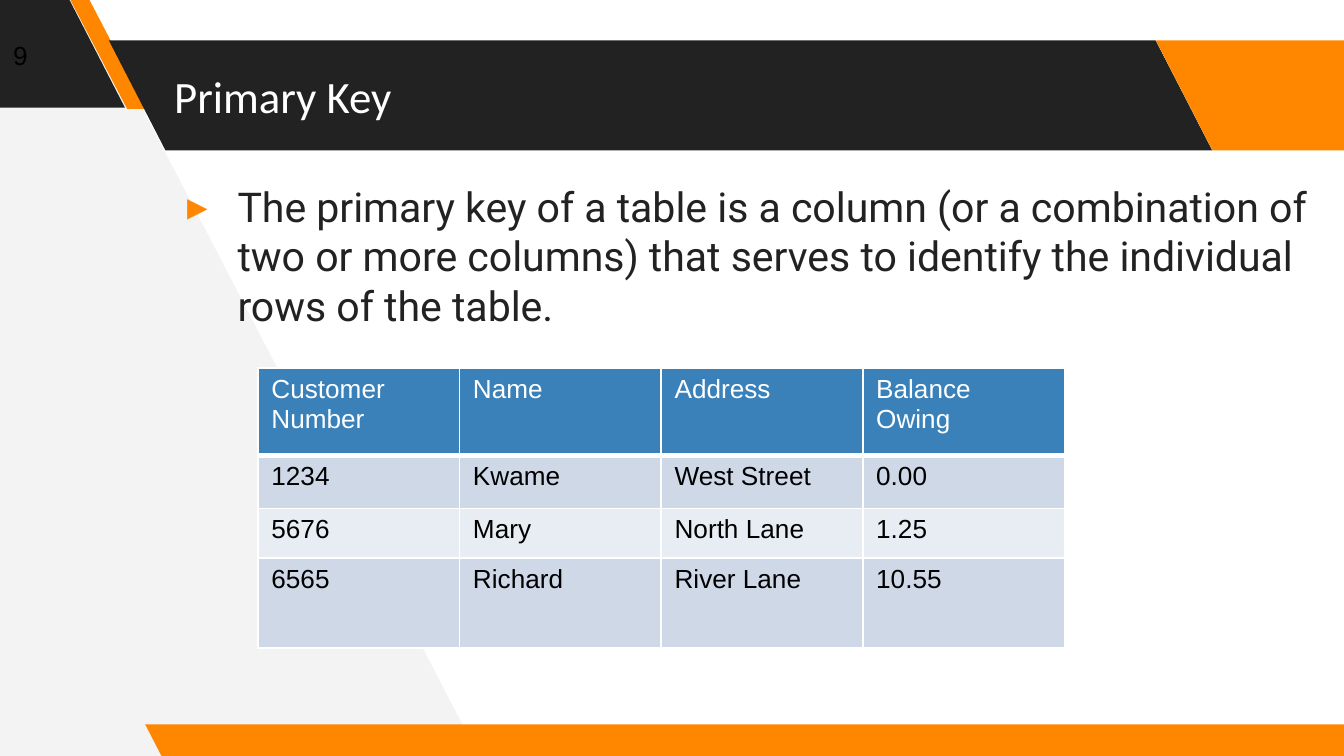
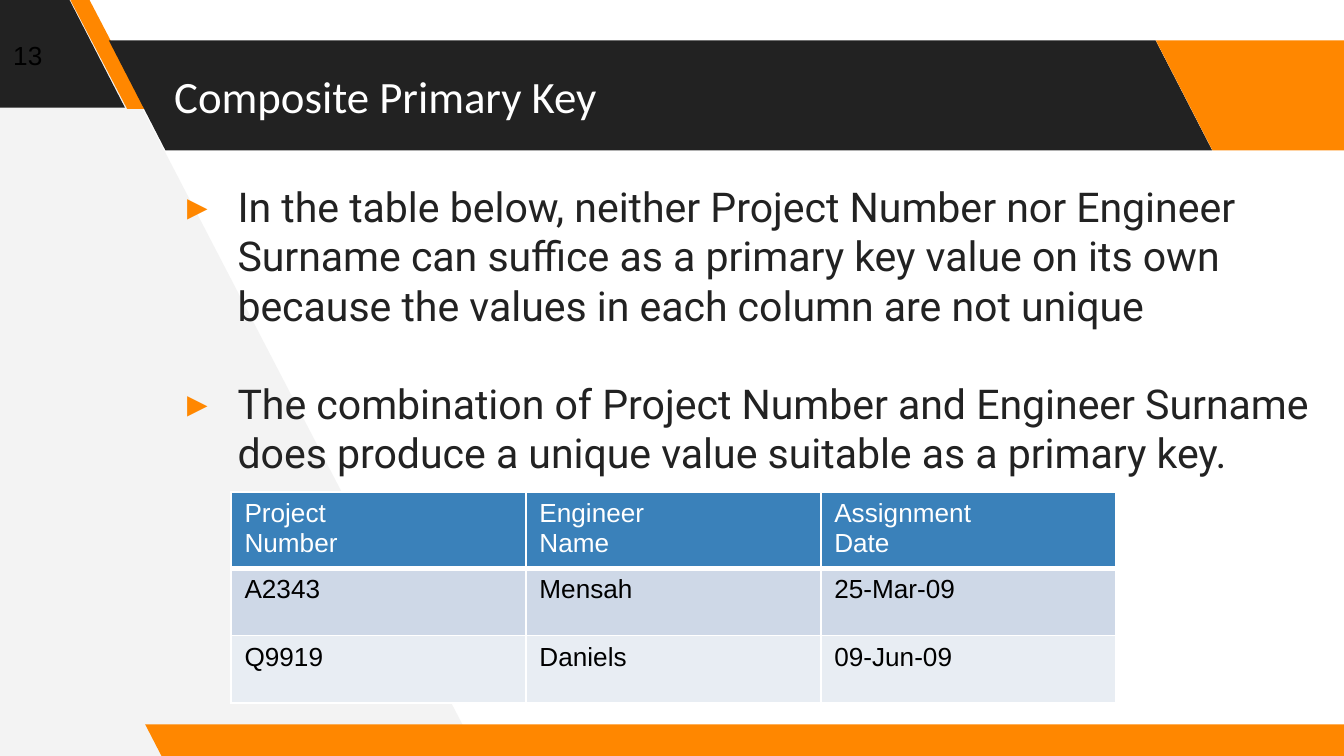
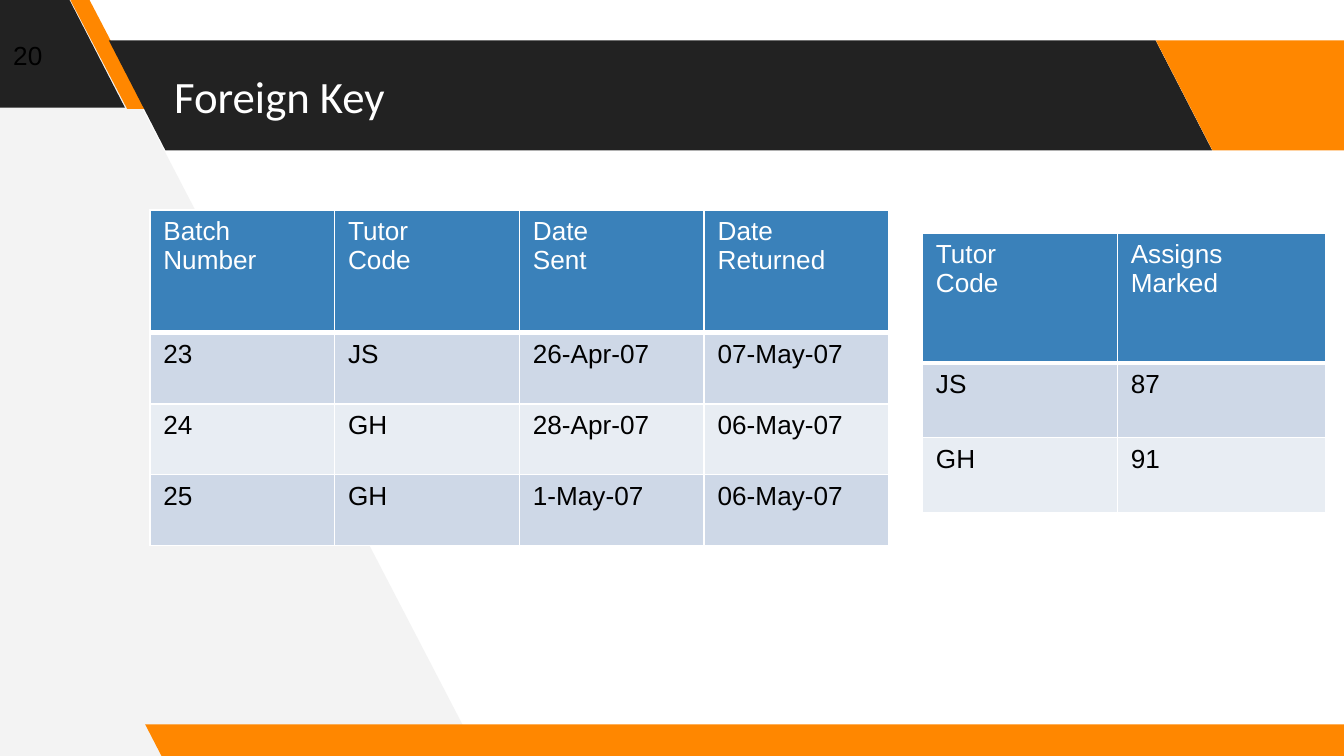
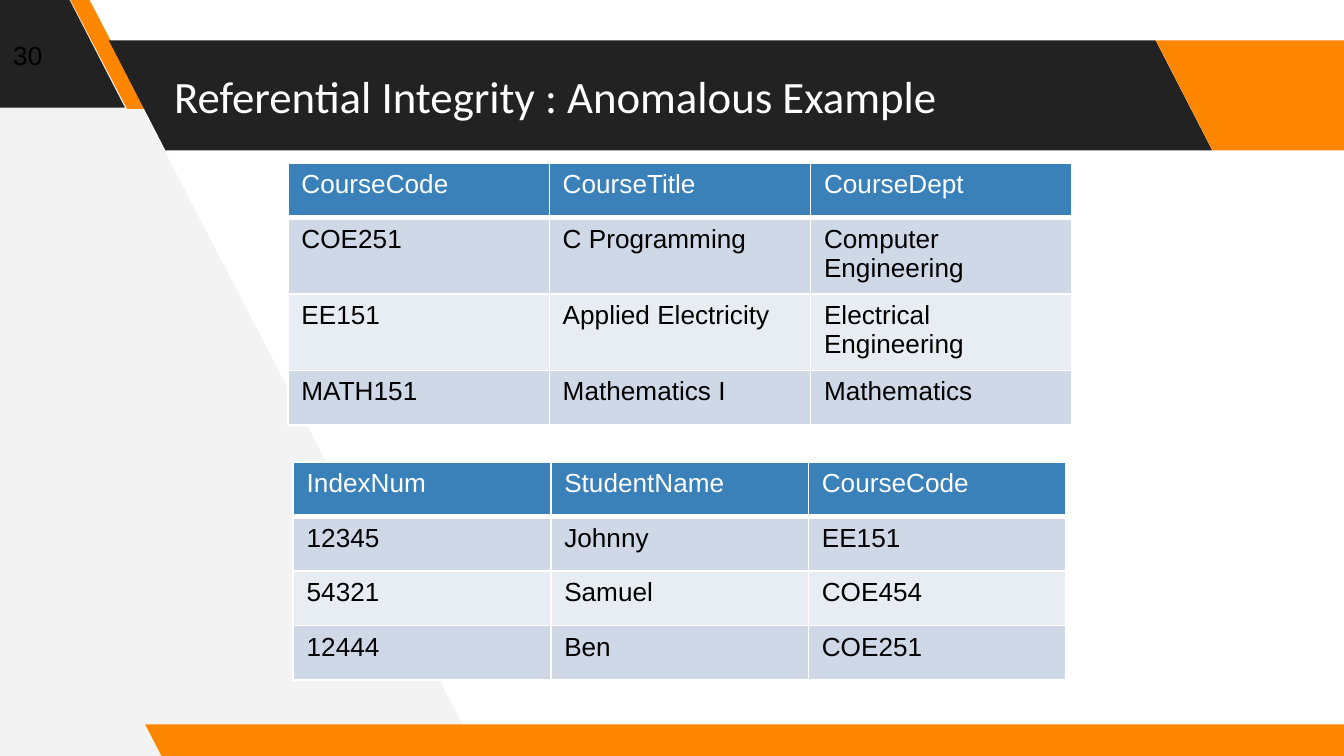
from lxml.etree import SubElement
from pptx import Presentation
from pptx.dml.color import RGBColor
from pptx.enum.shapes import MSO_SHAPE as Shape
from pptx.enum.text import MSO_ANCHOR as Anchor
from pptx.oxml.ns import qn
from pptx.util import Pt

DARK = RGBColor(0x22, 0x22, 0x22)
ORANGE = RGBColor(0xFF, 0x87, 0x00)
PALE = RGBColor(0xF3, 0xF3, 0xF3)
WHITE = RGBColor(0xFF, 0xFF, 0xFF)
BLACK = RGBColor(0x00, 0x00, 0x00)
HEADER_BLUE = RGBColor(0x3A, 0x81, 0xBA)
ROW_TINTS = (RGBColor(0xCE, 0xD8, 0xE7), RGBColor(0xE8, 0xED, 0xF3))

SLIDE_SIZE = (720, 405)
TITLE_BOX = (86.2, 21.6, 596.2, 59)
BODY_BOX = (86.2, 90, 623.5, 290)
NUMBER_BOX = (0, 0, 60, 59)
INSET = 7.2

WEDGE = [(256.3, 404.6), (44.6, -2.9), (-4.3, -2.9), (-1.4, 407.5)]
# box, slant, colour
BANDS = [
    ((-71.3, -1.4, 138.2, 59), 0.515, DARK),
    ((37.4, -0.7, 41, 59), 0.75, ORANGE),
    ((58.3, 21.6, 591.1, 59), 0.515, DARK),
    ((619.2, 21.6, 138.2, 59), 0.515, ORANGE),
    ((77.8, 388.1, 658.8, 18), 0.515, ORANGE),
]

SLIDES = [
    {
        "number": 9,
        "title": "Primary Key",
        "bullets": [
            "The primary key of a table is a column (or a combination of two or more "
            "columns) that serves to identify the individual rows of the table.",
        ],
        "tables": [
            ((138.2, 197.3), [108] * 4, [46.6, 28.5, 26.6, 48.2], [
                ["Customer\nNumber", "Name", "Address", "Balance\nOwing"],
                ["1234", "Kwame", "West Street", "0.00"],
                ["5676", "Mary", "North Lane", "1.25"],
                ["6565", "Richard", "River Lane", "10.55"],
            ]),
        ],
    },
    {
        "number": 13,
        "title": "Composite Primary Key",
        "bullets": [
            "In the table below, neither Project Number nor Engineer Surname can suffice "
            "as a primary key value on its own because the values in each column are "
            "not unique",
            "The combination of Project Number and Engineer Surname does produce a unique "
            "value suitable as a primary key.",
        ],
        "tables": [
            ((123.8, 263.7), [158] * 3, [36] * 3, [
                ["Project\nNumber", "Engineer\nName", "Assignment\nDate"],
                ["A2343", "Mensah", "25-Mar-09"],
                ["Q9919", "Daniels", "09-Jun-09"],
            ]),
        ],
    },
    {
        "number": 20,
        "title": "Foreign Key",
        "bullets": [],
        "tables": [
            ((80.3, 112.5), [99] * 4, [65.8] + [38] * 3, [
                ["Batch\nNumber", "Tutor\nCode", "Date\nSent", "Date\nReturned"],
                ["23", "JS", "26-Apr-07", "07-May-07"],
                ["24", "GH", "28-Apr-07", "06-May-07"],
                ["25", "GH", "1-May-07", "06-May-07"],
            ]),
            ((494.2, 124.7), [104.4, 111.6], [69.8, 40, 40], [
                ["Tutor\nCode", "Assigns\nMarked"],
                ["JS", "87"],
                ["GH", "91"],
            ]),
        ],
    },
    {
        "number": 30,
        "title": "Referential Integrity : Anomalous Example",
        "bullets": [],
        "tables": [
            ((154.3, 87.5), [140] * 3, [29.2] * 4, [
                ["CourseCode", "CourseTitle", "CourseDept"],
                ["COE251", "C Programming", "Computer Engineering"],
                ["EE151", "Applied Electricity", "Electrical Engineering"],
                ["MATH151", "Mathematics I", "Mathematics"],
            ]),
            ((157.1, 247.6), [138] * 3, [29.2] * 4, [
                ["IndexNum", "StudentName", "CourseCode"],
                ["12345", "Johnny", "EE151"],
                ["54321", "Samuel", "COE454"],
                ["12444", "Ben", "COE251"],
            ]),
        ],
    },
]


def points(values):
    return [Pt(value) for value in values]


def paint(shape, color):
    shape.shadow.inherit = False
    shape.fill.solid()
    shape.fill.fore_color.rgb = color
    shape.line.fill.background()


def style_text(frame, name, size, color):
    for para in frame.paragraphs:
        for span in para.runs:
            span.font.name = name
            span.font.size = Pt(size)
            span.font.color.rgb = color


def add_backdrop(page):
    start, *corners = [points(corner) for corner in WEDGE]
    builder = page.shapes.build_freeform(*start)
    builder.add_line_segments(corners, close=True)
    paint(builder.convert_to_shape(), PALE)
    for box, slant, color in BANDS:
        band = page.shapes.add_shape(Shape.PARALLELOGRAM, *points(box))
        band.adjustments[0] = slant
        band._element.spPr.xfrm.set("flipH", "1")
        paint(band, color)


def add_text(page, box, text, name, size, color, anchor=Anchor.MIDDLE):
    frame = page.shapes.add_textbox(*points(box)).text_frame
    frame.word_wrap = True
    frame.vertical_anchor = anchor
    frame.margin_left = frame.margin_right = Pt(INSET)
    frame.margin_top = frame.margin_bottom = Pt(INSET)
    frame.text = text
    style_text(frame, name, size, color)
    return frame


def add_bullet(para):
    props = para._p.get_or_add_pPr()
    props.set("marL", str(Pt(34)))
    props.set("indent", str(Pt(-27)))
    color = SubElement(props, qn("a:buClr"))
    SubElement(color, qn("a:srgbClr"), val=str(ORANGE))
    SubElement(props, qn("a:buFont"), typeface="Roboto")
    SubElement(props, qn("a:buChar"), char="▸")


def add_body(page, box, bullets):
    frame = add_text(page, box, "\n".join(bullets), "Roboto", 22, DARK, Anchor.TOP)
    for index, para in enumerate(frame.paragraphs):
        add_bullet(para)
        if index:
            para.space_before = Pt(26.4)


def add_borders(cell, bottom):
    props = cell._tc.get_or_add_tcPr()
    for side, width in (("L", 1), ("R", 1), ("T", 1), ("B", bottom)):
        line = SubElement(props, qn(f"a:ln{side}"), w=str(Pt(width)))
        fill = SubElement(line, qn("a:solidFill"))
        SubElement(fill, qn("a:srgbClr"), val=str(WHITE))


def add_data_table(page, corner, widths, heights, rows):
    size = (sum(widths), sum(heights))
    table = page.shapes.add_table(
        len(rows), len(widths), *points(corner + size)).table
    for column, width in zip(table.columns, widths):
        column.width = Pt(width)
    for index, (row, height, texts) in enumerate(zip(table.rows, heights, rows)):
        row.height = Pt(height)
        is_header = index == 0
        for cell, text in zip(row.cells, texts):
            cell.text_frame.text = text
            style_text(cell.text_frame, "Arial", 14, WHITE if is_header else BLACK)
            add_borders(cell, bottom=3 if is_header else 1)
            cell.fill.solid()
            cell.fill.fore_color.rgb = (
                HEADER_BLUE if is_header else ROW_TINTS[(index - 1) % 2])


def add_page(deck, content):
    page = deck.slides.add_slide(deck.slide_layouts[6])
    add_backdrop(page)
    add_text(page, NUMBER_BOX, str(content["number"]), "Arial", 14, BLACK)
    add_text(page, TITLE_BOX, content["title"], "Calibri", 24, WHITE)
    if content["bullets"]:
        add_body(page, BODY_BOX, content["bullets"])
    for table in content["tables"]:
        add_data_table(page, *table)


def main():
    deck = Presentation()
    deck.slide_width, deck.slide_height = points(SLIDE_SIZE)
    for content in SLIDES:
        add_page(deck, content)
    deck.save("out.pptx")


if __name__ == "__main__":
    main()
